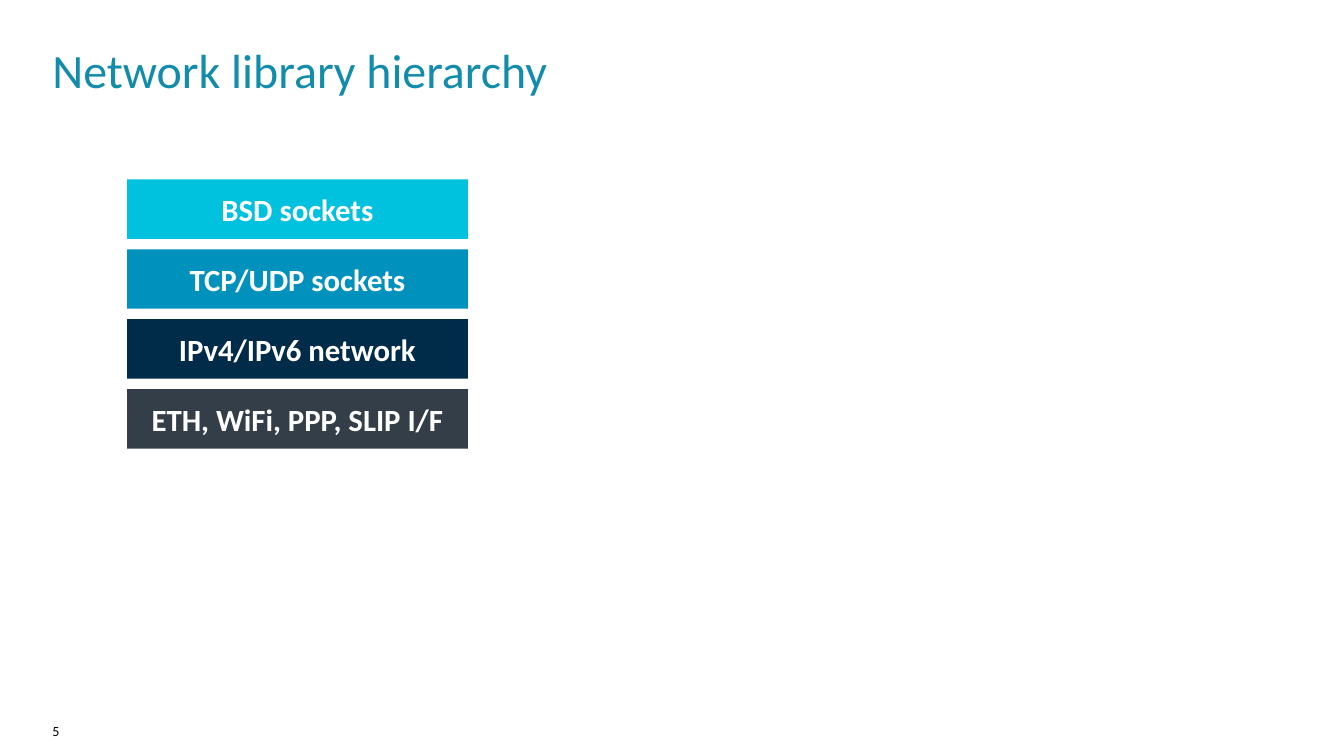
from dataclasses import dataclass

from pptx import Presentation
from pptx.dml.color import RGBColor
from pptx.enum.shapes import MSO_SHAPE
from pptx.enum.text import MSO_ANCHOR, PP_ALIGN
from pptx.slide import Slide
from pptx.text.text import TextFrame
from pptx.util import Inches, Pt

# Stack of layers, in inches
STACK_LEFT, STACK_TOP = 1.26, 1.78
STACK_WIDTH, STACK_HEIGHT = 3.38, 2.67
LAYER_HEIGHT = 0.59
MARGIN_LEFT = 0.52


@dataclass(frozen=True)
class Layer:
    label: str
    fill: str


LAYERS = [
    Layer("BSD sockets", "00C1DE"),
    Layer("TCP/UDP sockets", "0091BD"),
    Layer("IPv4/IPv6 network", "002B49"),
    Layer("ETH, WiFi, PPP, SLIP I/F", "333E48"),
]


def color(value: str) -> RGBColor:
    return RGBColor.from_string(value)


def write(frame: TextFrame, text: str, size: float, ink: str, bold: bool = False,
          align: PP_ALIGN = PP_ALIGN.LEFT, **frame_format: int) -> None:
    for name, value in {"word_wrap": True, **frame_format}.items():
        setattr(frame, name, value)
    paragraph = frame.paragraphs[0]
    paragraph.alignment = align
    run = paragraph.add_run()
    run.text = text
    for name, value in {"name": "Calibri", "size": Pt(size), "bold": bold}.items():
        setattr(run.font, name, value)
    run.font.color.rgb = color(ink)


def draw_layer(slide: Slide, layer: Layer, top: float) -> None:
    block = slide.shapes.add_shape(
        MSO_SHAPE.RECTANGLE, Inches(STACK_LEFT), Inches(top),
        Inches(STACK_WIDTH), Inches(LAYER_HEIGHT))
    block.shadow.inherit = False
    block.fill.solid()
    block.fill.fore_color.rgb = color(layer.fill)
    block.line.fill.background()
    write(block.text_frame, layer.label, 22, "FFFFFF", bold=True,
          align=PP_ALIGN.CENTER, vertical_anchor=MSO_ANCHOR.MIDDLE)


def main() -> None:
    deck = Presentation()
    deck.slide_width, deck.slide_height = Inches(13.33), Inches(7.5)
    slide = deck.slides.add_slide(deck.slide_layouts[5])
    no_margins = {"margin_left": 0, "margin_top": 0, "margin_right": 0, "margin_bottom": 0}

    # Title
    heading = slide.shapes.title
    place = {"left": MARGIN_LEFT, "top": 0.37, "width": 12.2, "height": 0.63}
    for name, value in place.items():
        setattr(heading, name, Inches(value))
    write(heading.text_frame, "Network library hierarchy", 34.2, "128CAB",
          vertical_anchor=MSO_ANCHOR.MIDDLE, **no_margins)

    # Network layers, from the sockets down to the interfaces
    pitch = (STACK_HEIGHT - LAYER_HEIGHT) / (len(LAYERS) - 1)
    for row, layer in enumerate(LAYERS):
        draw_layer(slide, layer, STACK_TOP + row * pitch)

    # Page number
    page_number = slide.shapes.add_textbox(
        Inches(MARGIN_LEFT), Inches(7.17), Inches(1.43), Inches(0.26))
    write(page_number.text_frame, "5", 10, "000000",
          vertical_anchor=MSO_ANCHOR.TOP, **no_margins)

    deck.save("out.pptx")


if __name__ == "__main__":
    main()
